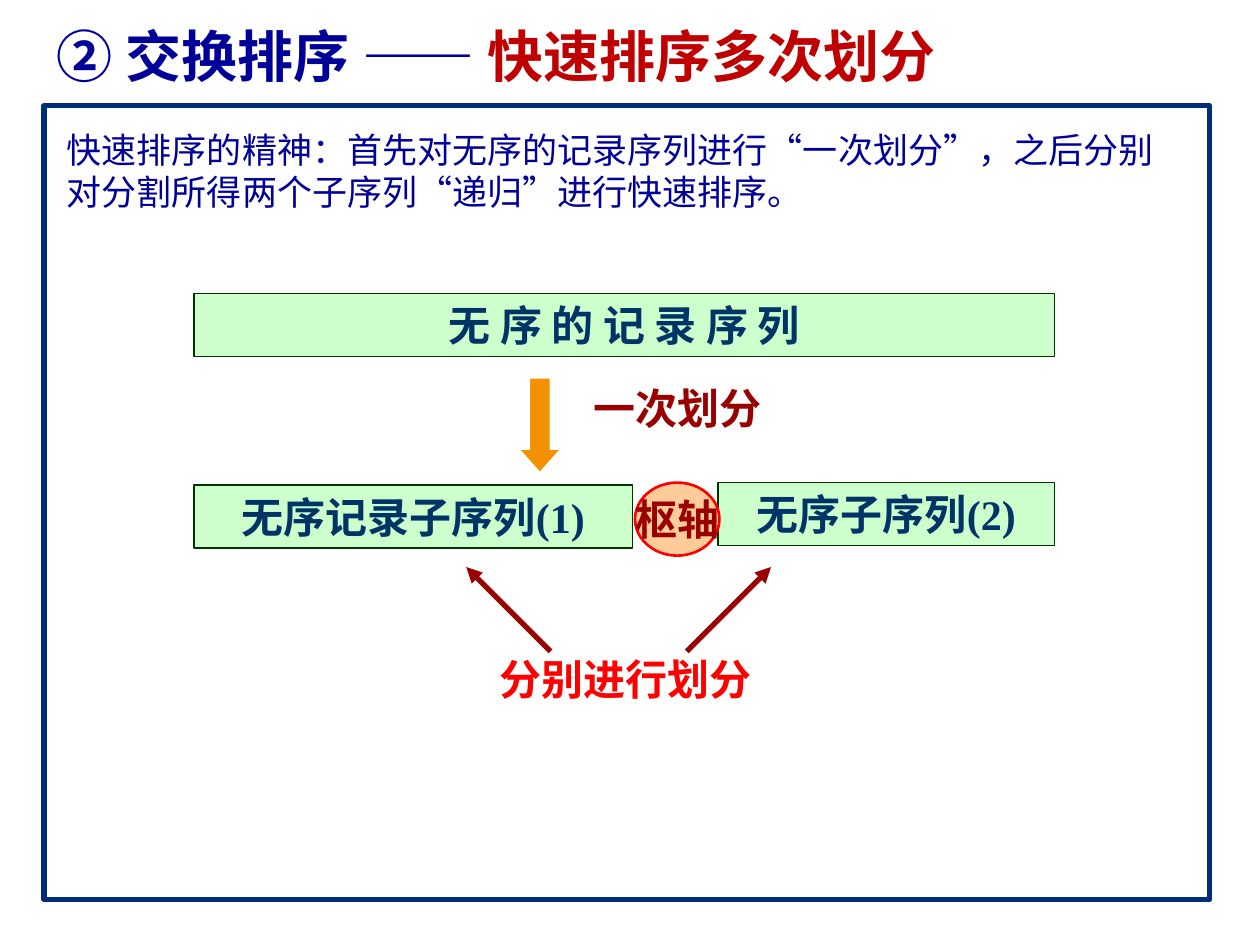
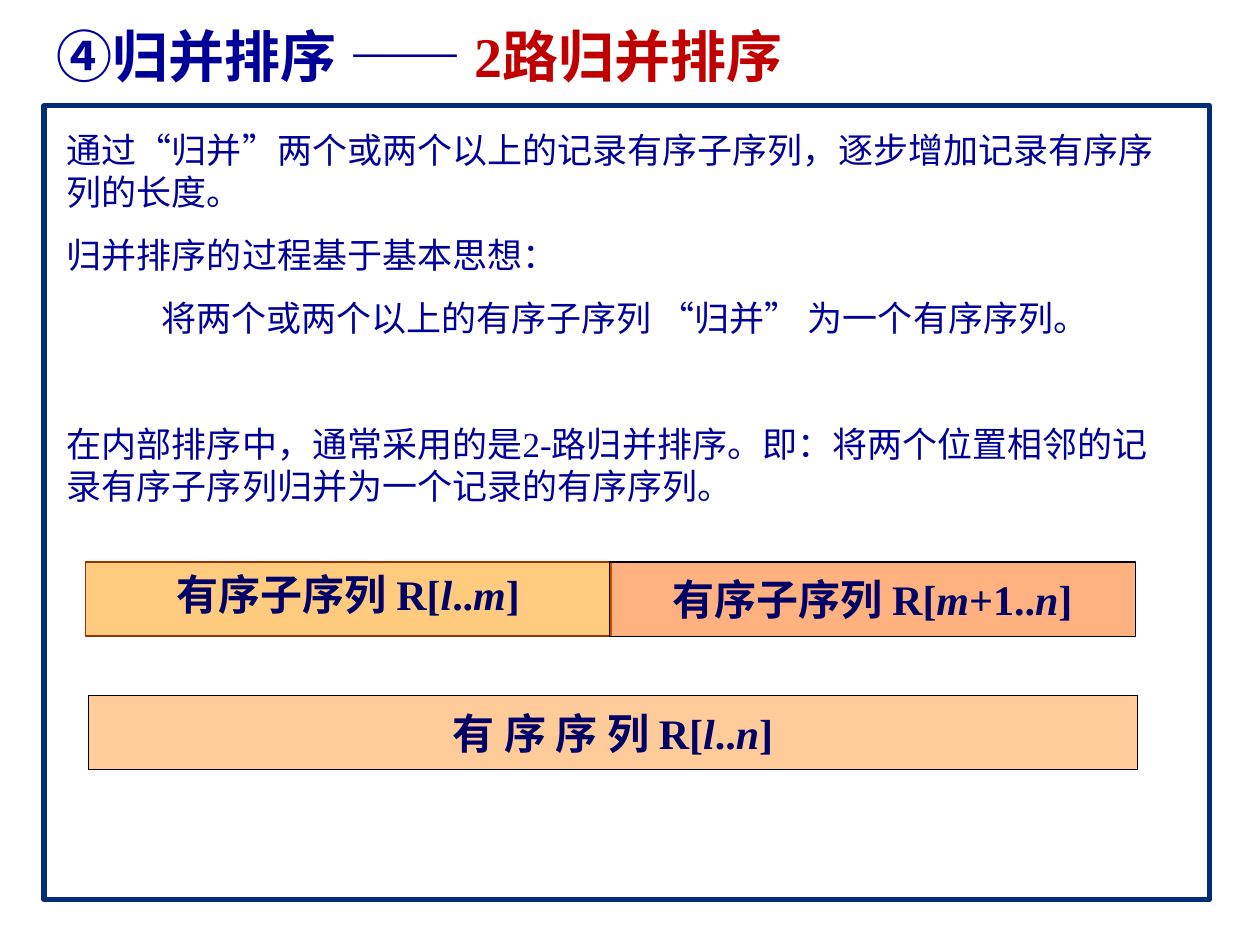
from lxml.etree import SubElement
from pptx import Presentation
from pptx.dml.color import RGBColor
from pptx.enum.lang import MSO_LANGUAGE_ID as LANG
from pptx.enum.shapes import MSO_CONNECTOR, MSO_SHAPE
from pptx.enum.text import MSO_ANCHOR as ANCHOR, PP_ALIGN as ALIGN
from pptx.oxml.ns import qn
from pptx.util import Inches, Pt

FONT = "Times New Roman"
WHITE = RGBColor(0xFF, 0xFF, 0xFF)
BLACK = RGBColor(0x00, 0x00, 0x00)
FRAME_BLUE = RGBColor(0x01, 0x2D, 0x78)
TEXT_BLUE = RGBColor(0x00, 0x00, 0x99)
TITLE_RED = RGBColor(0xC0, 0x00, 0x00)
PALE_GREEN = RGBColor(0xCC, 0xFF, 0xCC)
DARK_GREEN = RGBColor(0x00, 0x33, 0x00)
TEAL_BLUE = RGBColor(0x00, 0x33, 0x66)
NAVY = RGBColor(0x00, 0x00, 0x66)
PEACH = RGBColor(0xFF, 0xCC, 0x99)
RED = RGBColor(0xFF, 0x00, 0x00)
MAROON = RGBColor(0x99, 0x00, 0x00)
ARROW_ORANGE = RGBColor(0xF4, 0x91, 0x00)
ORANGE = RGBColor(0xFF, 0x99, 0x00)
DEEP_ORANGE = RGBColor(0xFF, 0x66, 0x00)
BROWN = RGBColor(0x99, 0x33, 0x00)

FRAME_BOX = (0.35, 0.84, 9.25, 6.3)
TITLE_BOX = (0.35, 0.13, 9.25, 0.62)
BODY_BOX = (0.43, 0.92, 9.06, 6.14)

# Body paragraphs: text, alignment, space before in points
QUICK = {
    "title": ("② 交换排序 —— ", "快速排序多次划分"),
    "body": [("快速排序的精神：首先对无序的记录序列进行“一次划分”，之后分别"
              "对分割所得两个子序列“递归”进行快速排序。", ALIGN.LEFT, 6)],
}
MERGE = {
    "title": ("④归并排序 —— ", "2路归并排序"),
    "body": [
        ("通过“归并”两个或两个以上的记录有序子序列，逐步增加记录有序序列的长度。",
         ALIGN.LEFT, 6),
        ("归并排序的过程基于基本思想：", ALIGN.LEFT, 6),
        ("将两个或两个以上的有序子序列 “归并” 为一个有序序列。", ALIGN.CENTER, 6),
        ("在内部排序中，通常采用的是2-路归并排序。即：将两个位置相邻的记"
         "录有序子序列归并为一个记录的有序序列。", ALIGN.LEFT, 42),
    ],
}

# Sequence bars: text, box, line width
QUICK_BARS = [
    ("无 序 的 记 录 序 列", (1.54, 2.33, 6.83, 0.5), 0.75),
    ("无序记录子序列(1)", (1.54, 3.85, 3.48, 0.5), 1),
    ("无序子序列(2)", (5.7, 3.83, 2.67, 0.5), 1),
]
# Captions: text, box, colour
QUICK_CAPTIONS = [
    ("一次划分", (4.6, 2.99, 1.56, 0.5), MAROON),
    ("分别进行划分", (3.85, 5.14, 2.23, 0.5), RED),
]
ARROW_BOTTOM, ARROW_TOP = 5.17, 4.5
ARROW_XS = [(4.37, 3.7), (5.45, 6.12)]

# Merge bars: runs (every second one italic), left, top, width, fill,
# opacity in percent, line colour, line width, anchor
BAR_HEIGHT = 0.59
MERGE_BARS = [
    (["有 序 序 列 R[", "l", "..", "n", "]"], 0.7, 5.52, 8.33,
     PEACH, 100, BLACK, 0.75, ANCHOR.MIDDLE),
    (["有序子序列 R[", "l", "..", "m", "]"], 0.68, 4.46, 4.17,
     ORANGE, 50, BROWN, 1, ANCHOR.TOP),
    (["有序子序列 R[", "m", "+1..", "n", "]"], 4.84, 4.46, 4.17,
     DEEP_ORANGE, 50, BLACK, 0.75, ANCHOR.MIDDLE),
]


def inches(values):
    """Turn a tuple of numbers into lengths."""
    return [Inches(v) for v in values]


def place(sp, box):
    """Move and size a shape."""
    sp.left, sp.top, sp.width, sp.height = inches(box)


def add_run(p, text, size, color, bold=False, italic=False):
    """Add one formatted run to a paragraph."""
    r = p.add_run()
    r.text = text
    f = r.font
    f.name, f.size, f.bold, f.italic = FONT, Pt(size), bold, italic
    f.color.rgb = color
    f.language_id = LANG.SIMPLIFIED_CHINESE


def add_label(sp, runs, color, anchor=ANCHOR.TOP, wrap=True):
    """Write a centred bold label; every second run is italic."""
    tf = sp.text_frame
    tf.word_wrap, tf.vertical_anchor = wrap, anchor
    p = tf.paragraphs[0]
    p.alignment = ALIGN.CENTER
    for i, text in enumerate(runs):
        add_run(p, text, 24, color, bold=True, italic=i % 2 == 1)


def add_shape(slide, kind, box, fill, line, width, opacity=100):
    """Add a flat filled and outlined preset shape."""
    sp = slide.shapes.add_shape(kind, *inches(box))
    sp.shadow.inherit = False
    sp.fill.solid()
    sp.fill.fore_color.rgb = fill
    sp.line.color.rgb = line
    sp.line.width = Pt(width)
    if opacity < 100:
        clr = sp.element.spPr.find(qn("a:solidFill"))[0]
        SubElement(clr, qn("a:alpha")).set("val", str(opacity * 1000))
    return sp


def add_arrow(slide, start, end):
    """Add a thick line with an arrowhead at its end."""
    sp = slide.shapes.add_connector(MSO_CONNECTOR.STRAIGHT,
                                    *inches(start + end))
    sp.line.color.rgb = MAROON
    sp.line.width = Pt(3)
    SubElement(sp.line._get_or_add_ln(), qn("a:tailEnd")).set("type", "triangle")
    SubElement(sp.element.spPr, qn("a:effectLst"))


def add_slide(prs, content):
    """Add a slide with its title and body text."""
    slide = prs.slides.add_slide(prs.slide_layouts[1])
    title, body = slide.placeholders
    place(title, TITLE_BOX)
    title.text_frame.vertical_anchor = ANCHOR.MIDDLE
    p = title.text_frame.paragraphs[0]
    p.alignment = ALIGN.JUSTIFY
    for text, color in zip(content["title"], (TEXT_BLUE, TITLE_RED)):
        add_run(p, text, 32, color, bold=True)

    place(body, BODY_BOX)
    tf = body.text_frame
    tf.margin_left = tf.margin_right = Inches(0.1)
    tf.margin_top = tf.margin_bottom = Inches(0.1)
    for i, (text, align, before) in enumerate(content["body"]):
        p = tf.add_paragraph() if i else tf.paragraphs[0]
        p.alignment = align
        p.space_before, p.space_after = Pt(before), Pt(6)
        pPr = p._p.get_or_add_pPr()
        pPr.set("marL", "0")
        pPr.set("indent", "0")
        SubElement(pPr, qn("a:buNone"))
        add_run(p, text, 20, TEXT_BLUE)
    return slide


def add_layout_frame(slide):
    """Put the blue frame on the layout, behind everything else."""
    sp = add_shape(slide, MSO_SHAPE.RECTANGLE, FRAME_BOX, WHITE, FRAME_BLUE, 3)
    slide.slide_layout.shapes.element.insert(2, sp.element)


def draw_quick_sort(slide):
    """Draw the partition of a sequence around its pivot."""
    for text, box, width in QUICK_BARS:
        sp = add_shape(slide, MSO_SHAPE.RECTANGLE, box,
                       PALE_GREEN, DARK_GREEN, width)
        add_label(sp, [text], TEAL_BLUE)
    pivot = add_shape(slide, MSO_SHAPE.OVAL, (5.04, 3.83, 0.67, 0.58),
                      PEACH, RED, 1.5)
    add_label(pivot, ["枢轴"], MAROON, ANCHOR.MIDDLE, wrap=False)
    down = add_shape(slide, MSO_SHAPE.DOWN_ARROW, (4.12, 3, 0.33, 0.75),
                     ARROW_ORANGE, WHITE, 0.75)
    down.adjustments[0], down.adjustments[1] = 0.5, 0.56
    for text, box, color in QUICK_CAPTIONS:
        add_label(slide.shapes.add_textbox(*inches(box)), [text], color,
                  wrap=False)
    for x1, x2 in ARROW_XS:
        add_arrow(slide, (x1, ARROW_BOTTOM), (x2, ARROW_TOP))


def draw_merge_sort(slide):
    """Draw two ordered runs and the merged sequence."""
    for (runs, left, top, width, fill, opacity,
         line, weight, anchor) in MERGE_BARS:
        sp = add_shape(slide, MSO_SHAPE.RECTANGLE,
                       (left, top, width, BAR_HEIGHT),
                       fill, line, weight, opacity)
        add_label(sp, runs, NAVY, anchor)


prs = Presentation()
prs.slide_width, prs.slide_height = Inches(10), Inches(7.5)
quick = add_slide(prs, QUICK)
add_layout_frame(quick)
draw_quick_sort(quick)
draw_merge_sort(add_slide(prs, MERGE))
prs.save("out.pptx")
